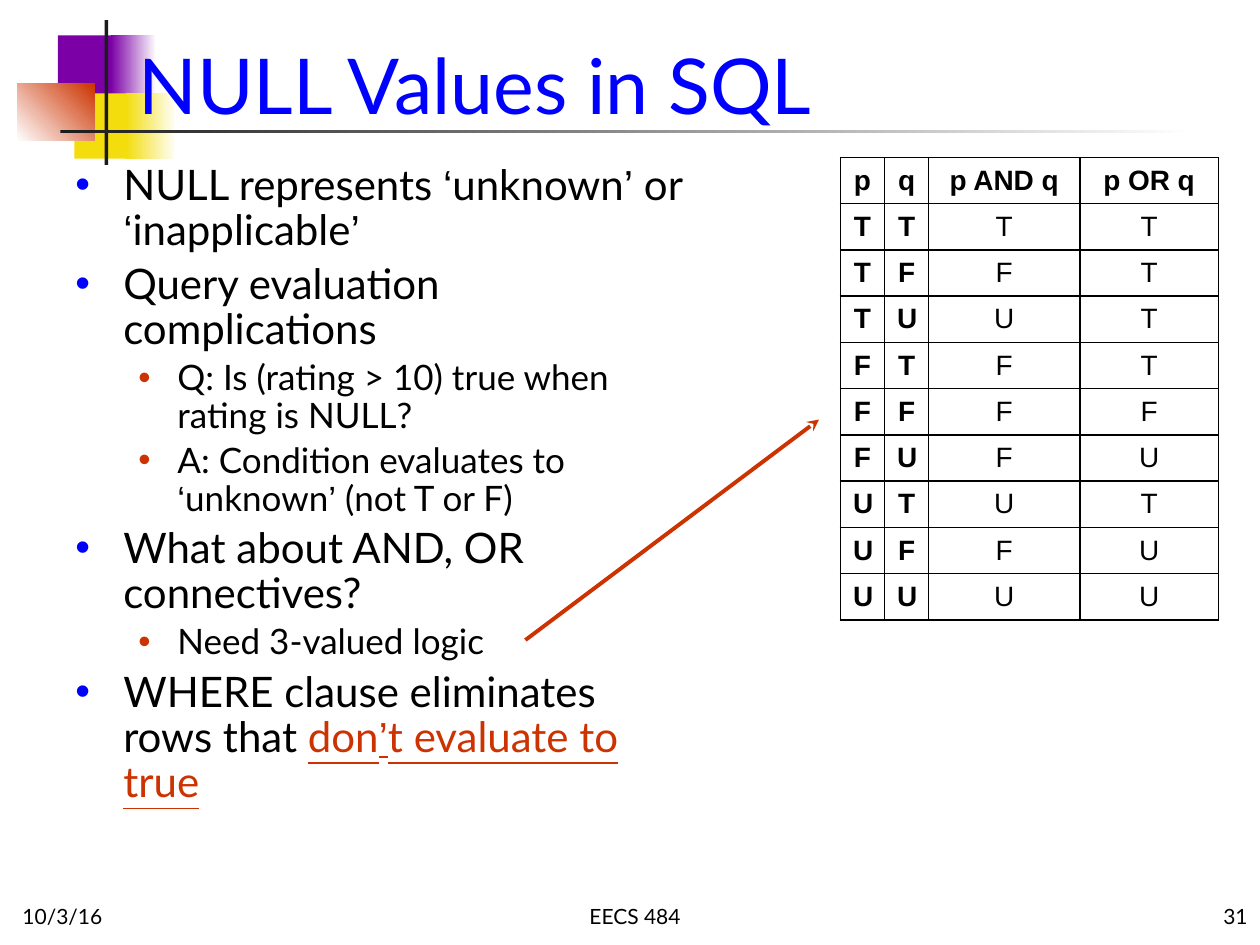
from itertools import groupby, product

from lxml.etree import SubElement
from pptx import Presentation
from pptx.dml.color import RGBColor
from pptx.enum.shapes import MSO_CONNECTOR, MSO_SHAPE
from pptx.enum.text import MSO_ANCHOR, PP_ALIGN
from pptx.oxml.ns import qn
from pptx.util import Inches, Pt

BLACK, WHITE, BLUE, RED = "000000", "FFFFFF", "0000FF", "CC3300"
PURPLE, YELLOW, CHARCOAL = "7B00A6", "F3DD0D", "1C1C1C"

TITLE = "NULL Values in SQL"
# left, top, width, height, colours (two make a gradient), gradient angle
DECORATIONS = [
    (0.46, 0.28, 0.48, 0.52, [PURPLE], 0),
    (0.88, 0.28, 0.36, 0.52, [PURPLE, WHITE], 0),
    (0.59, 0.74, 0.46, 0.52, [YELLOW], 0),
    (1, 0.74, 0.4, 0.52, [YELLOW, WHITE], 0),
    (0.14, 0.66, 0.61, 0.46, [WHITE, RED], 45),
    (0.83, 0.16, 0.03, 1.15, [CHARCOAL], 0),
    (0.48, 1.03, 9, 0.03, [CHARCOAL, WHITE], 0),
]
FOOTERS = [
    ("10/3/16", 0.08, 2.08, PP_ALIGN.LEFT),
    ("EECS 484", 2.33, 5.42, PP_ALIGN.CENTER),
    ("31", 7.92, 2.08, PP_ALIGN.RIGHT),
]
# level, plain text, underlined text
BULLETS = [
    (0, "NULL represents ‘unknown’ or ‘inapplicable’", ""),
    (0, "Query evaluation complications", ""),
    (1, "Q: Is (rating > 10) true when rating is NULL?", ""),
    (1, "A: Condition evaluates to ‘unknown’ (not T or F)", ""),
    (0, "What about AND, OR connectives?", ""),
    (1, "Need 3-valued logic", ""),
    (0, "WHERE clause eliminates rows that ", "don’t evaluate to true"),
]
LEVELS = [
    {"size": 24, "margin": 0.38, "hanging": 0.38, "bullet": BLUE},
    {"size": 20, "margin": 0.81, "hanging": 0.31, "bullet": RED},
]
TABLE_HEADER = ["p", "q", "p AND q", "p OR q"]
TRUTH_VALUES = "TFU"
TRUTH_ORDER = "FUT"  # AND takes the lower value, OR the higher
COLUMN_WIDTHS = [0.35, 0.35, 1.2, 1.1]
TABLE_HEIGHT = 3.67


def rgb(value):
    return RGBColor.from_string(value)


def add_run(paragraph, text, size, color=BLACK, name="Lato", **formats):
    run = paragraph.add_run()
    run.text = text
    run.font.color.rgb = rgb(color)
    for attribute, value in {"size": Pt(size), "name": name, **formats}.items():
        setattr(run.font, attribute, value)


def add_quoted_runs(paragraph, text, size, **formats):
    """Set curly quotes in Arial and everything else in Lato."""
    for is_quote, characters in groupby(text, lambda character: character in "‘’"):
        name = "Arial" if is_quote else "Lato"
        add_run(paragraph, "".join(characters), size, name=name, **formats)


def add_text_frame(slide, left, top, width, height, anchor):
    box = slide.shapes.add_textbox(*map(Inches, (left, top, width, height)))
    box.text_frame.word_wrap = True
    box.text_frame.vertical_anchor = anchor
    return box.text_frame


def add_decorations(slide):
    for *place, colors, angle in DECORATIONS:
        shape = slide.shapes.add_shape(MSO_SHAPE.RECTANGLE, *map(Inches, place))
        shape.shadow.inherit = False
        shape.line.fill.background()
        if len(colors) == 1:
            shape.fill.solid()
            shape.fill.fore_color.rgb = rgb(colors[0])
        else:
            shape.fill.gradient()
            shape.fill.gradient_angle = angle
            for stop, color in zip(shape.fill.gradient_stops, colors):
                stop.color.rgb = rgb(color)


def add_footers(slide):
    for text, left, width, alignment in FOOTERS:
        frame = add_text_frame(slide, left, 6.92, width, 0.5, MSO_ANCHOR.BOTTOM)
        frame.paragraphs[0].alignment = alignment
        add_run(frame.paragraphs[0], text, 12)


def format_title(slide):
    title = slide.shapes.title
    title.element.getparent().append(title.element)  # in front of the decorations
    place = {"left": 1, "top": -0.17, "width": 8.83, "height": 1.25}
    for attribute, value in place.items():
        setattr(title, attribute, Inches(value))
    title.text_frame.vertical_anchor = MSO_ANCHOR.BOTTOM
    paragraph = title.text_frame.paragraphs[0]
    paragraph.alignment = PP_ALIGN.LEFT
    add_run(paragraph, TITLE, 44, BLUE)


def add_bullets(slide):
    frame = add_text_frame(slide, 0.5, 1.25, 5.08, 5.42, MSO_ANCHOR.TOP)
    for index, (level, text, underlined) in enumerate(BULLETS):
        style = LEVELS[level]
        size = style["size"]
        paragraph = frame.add_paragraph() if index else frame.paragraphs[0]
        paragraph.level = level
        paragraph.line_spacing = 0.9
        paragraph.space_before = Pt(0.2 * size)
        properties = paragraph._p.get_or_add_pPr()
        properties.set("marL", str(Inches(style["margin"])))
        properties.set("indent", str(-Inches(style["hanging"])))
        bullet_color = SubElement(properties, qn("a:buClr"))
        SubElement(bullet_color, qn("a:srgbClr"), val=style["bullet"])
        SubElement(properties, qn("a:buFont"), typeface="Arial")
        SubElement(properties, qn("a:buChar"), char="•")
        add_quoted_runs(paragraph, text, size)
        add_quoted_runs(paragraph, underlined, size, color=RED, underline=True)


def add_borders(cell):
    properties = cell._tc.get_or_add_tcPr()
    for position, side in enumerate(("a:lnL", "a:lnR", "a:lnT", "a:lnB")):
        border = SubElement(properties, qn(side), w=str(Pt(1)))
        properties.insert(position, border)
        fill = SubElement(border, qn("a:solidFill"))
        SubElement(fill, qn("a:srgbClr"), val=BLACK)


def add_truth_table(slide):
    rows = [TABLE_HEADER]
    for p, q in product(TRUTH_VALUES, repeat=2):
        low, high = sorted((p, q), key=TRUTH_ORDER.index)
        rows.append([p, q, low, high])

    table = slide.shapes.add_table(
        len(rows), len(TABLE_HEADER), Inches(6.67), Inches(1.25),
        Inches(sum(COLUMN_WIDTHS)), Inches(TABLE_HEIGHT)).table
    table.first_row = table.horz_banding = False
    for column, width in zip(table.columns, COLUMN_WIDTHS):
        column.width = Inches(width)
    for row_index, values in enumerate(rows):
        for column_index, text in enumerate(values):
            cell = table.cell(row_index, column_index)
            cell.fill.background()
            cell.vertical_anchor = MSO_ANCHOR.MIDDLE
            paragraph = cell.text_frame.paragraphs[0]
            paragraph.alignment = PP_ALIGN.CENTER
            add_run(paragraph, text, 16, name="Arial",
                    bold=row_index == 0 or column_index < 2)
            add_borders(cell)


def add_arrow(slide):
    arrow = slide.shapes.add_connector(
        MSO_CONNECTOR.STRAIGHT, *map(Inches, (4.17, 5.08, 6.5, 3.33)))
    arrow.line.color.rgb = rgb(RED)
    arrow.line.width = Pt(2.25)
    SubElement(arrow.line._get_or_add_ln(), qn("a:tailEnd"), type="stealth")
    SubElement(arrow.element.spPr, qn("a:effectLst"))


def main():
    presentation = Presentation()
    presentation.slide_width = Inches(10)
    presentation.slide_height = Inches(7.5)
    slide = presentation.slides.add_slide(presentation.slide_layouts[5])
    add_decorations(slide)
    add_footers(slide)
    format_title(slide)
    add_bullets(slide)
    add_truth_table(slide)
    add_arrow(slide)
    presentation.save("out.pptx")


if __name__ == "__main__":
    main()
